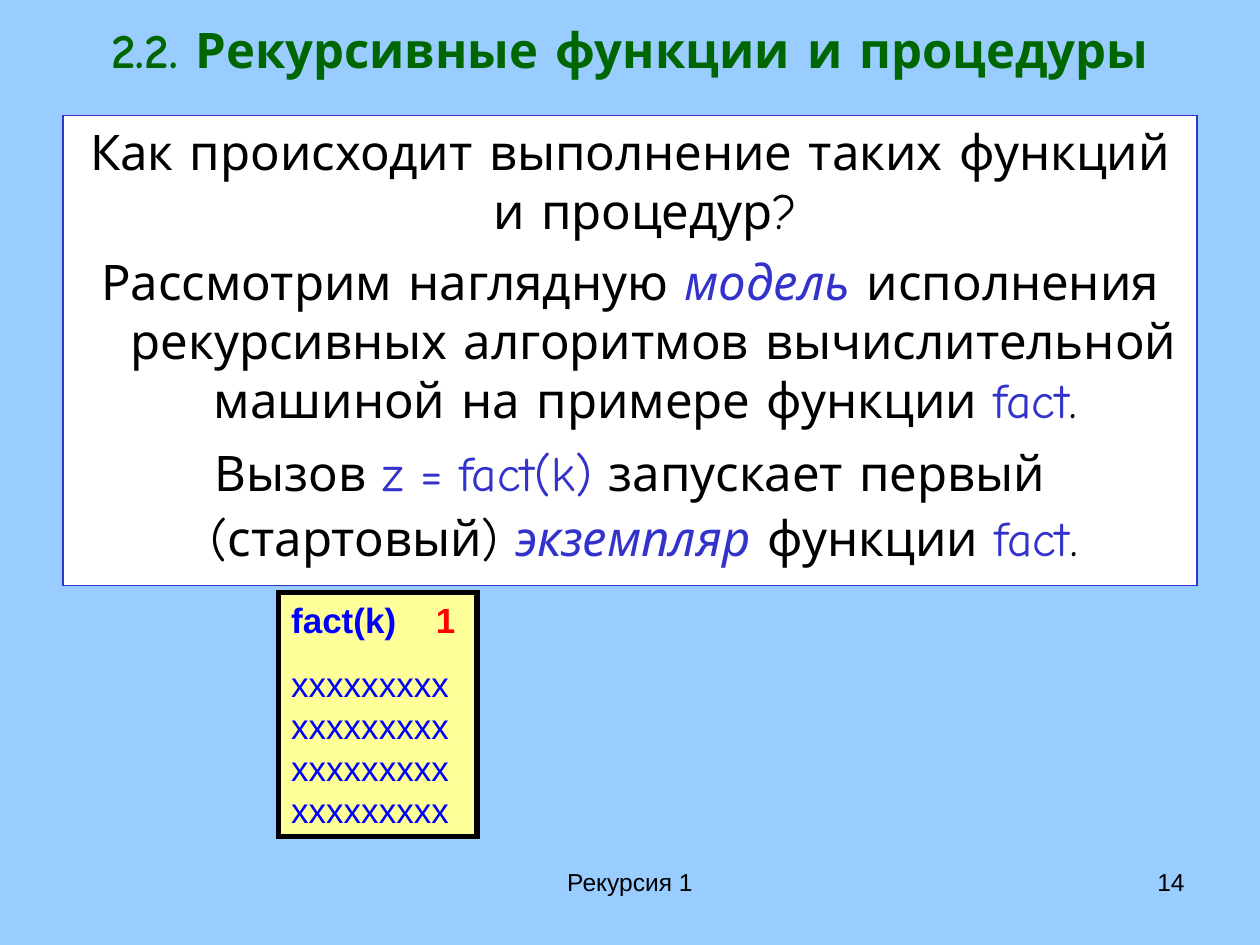
from pptx import Presentation
from pptx.dml.color import RGBColor
from pptx.enum import shapes, text
from pptx.util import Cm, Pt
from lxml import etree
from pptx.oxml import ns

SKY = RGBColor(0x99, 0xCC, 0xFF)
WHITE = RGBColor(0xFF, 0xFF, 0xFF)
BLACK = RGBColor(0, 0, 0)
INDIGO = RGBColor(0x33, 0x33, 0xCC)
GREEN = RGBColor(0, 0x66, 0)
YELLOW = RGBColor(0xFF, 0xFF, 0x99)
BLUE = RGBColor(0, 0, 0xFF)
RED = RGBColor(0xFF, 0, 0)
CENTER, RIGHT, LEFT = text.PP_ALIGN.CENTER, text.PP_ALIGN.RIGHT, text.PP_ALIGN.LEFT

# Content: each span is (text, colour, style) and an optional size of its own;
# style is "", "b" or "i"
TITLE = [("2.2. Рекурсивные функции и процедуры", GREEN, "b")]
FOOTER = [("Рекурсия 1", BLACK, "")]
NUMBER = [("14", BLACK, "")]
# Body paragraphs: space before (pt), spans
BODY = [
    (7, [("Как происходит выполнение таких функций и процедур? ", BLACK, "")]),
    (7, [
        ("Рассмотрим наглядную ", BLACK, ""),
        ("модель", INDIGO, "i"),
        (" исполнения рекурсивных алгоритмов вычислительной машиной на примере функции ",
         BLACK, ""),
        ("fact", INDIGO, ""),
        (". ", BLACK, ""),
    ]),
    (8, [
        ("Вызов ", BLACK, ""),
        ("z = fact(k)", INDIGO, ""),
        (" запускает первый (стартовый) ", BLACK, ""),
        ("экземпляр", INDIGO, "i"),
        (" функции ", BLACK, ""),
        ("fact", INDIGO, ""),
        (".", BLACK, ""),
        (" ", BLACK, "", 32),
    ]),
]
CALL = [("fact(k)\t", BLUE, "b"), ("1", RED, "b")]
CODE = [("x" * 36, BLUE, "")]


def add_box(page, place, fill=None, line=None, width=0):
    """Add a plain text box, or a rectangle when a fill is given."""
    place = [Cm(value) for value in place]
    if fill is None:
        box = page.shapes.add_textbox(*place)
    else:
        box = page.shapes.add_shape(shapes.MSO_SHAPE.RECTANGLE, *place)
        box.shadow.inherit = False
        box.fill.solid()
        box.fill.fore_color.rgb = fill
        box.line.color.rgb = line
        box.line.width = Pt(width)
        # Square corners
        outline = box._element.spPr.find(ns.qn("a:ln"))
        etree.SubElement(outline, ns.qn("a:miter"), lim="800000")
    frame = box.text_frame
    frame.word_wrap = True
    frame.vertical_anchor = text.MSO_ANCHOR.TOP
    return frame


def write(para, spans, size, font, align=LEFT, before=0):
    para.alignment = align
    para.space_before = Pt(before)
    for words, color, style, *own_size in spans:
        span = para.add_run()
        span.text = words
        span.font.name = font
        span.font.size = Pt(own_size[0] if own_size else size)
        span.font.color.rgb = color
        span.font.bold = style == "b"
        span.font.italic = style == "i"


def set_hanging(para, indent):
    props = para._p.get_or_add_pPr()
    props.set("marL", str(Cm(indent)))
    props.set("indent", str(-Cm(indent)))


def set_tab(para, position):
    tabs = etree.SubElement(para._p.get_or_add_pPr(), ns.qn("a:tabLst"))
    etree.SubElement(tabs, ns.qn("a:tab"), pos=str(Cm(position)), algn="l")


def main():
    deck = Presentation()
    deck.slide_width, deck.slide_height = Cm(25.4), Cm(19.05)
    page = deck.slides.add_slide(deck.slide_layouts[6])
    page.background.fill.solid()
    page.background.fill.fore_color.rgb = SKY

    # Footer and page number
    for place, spans, align in [((8.68, 17.35, 8.04, 1.32), FOOTER, CENTER),
                                ((18.2, 17.35, 5.93, 1.32), NUMBER, RIGHT)]:
        write(add_box(page, place).paragraphs[0], spans, 14, "Arial", align)

    # Explanation panel
    frame = add_box(page, (1.27, 2.33, 22.86, 9.48), WHITE, INDIGO, 0.75)
    for index, (before, spans) in enumerate(BODY):
        para = frame.add_paragraph() if index else frame.paragraphs[0]
        write(para, spans, 28, "Comic Neue", CENTER, before)
        set_hanging(para, 0.95)

    # Title
    frame = add_box(page, (1.27, 0.42, 22.86, 1.14))
    frame.vertical_anchor = text.MSO_ANCHOR.MIDDLE
    write(frame.paragraphs[0], TITLE, 28, "Comic Neue", CENTER)

    # First instance of the function
    frame = add_box(page, (5.62, 11.94, 4, 4.93), YELLOW, BLACK, 3)
    write(frame.paragraphs[0], CALL, 20, "Arial", before=12.5)
    set_tab(frame.paragraphs[0], 2.92)
    write(frame.add_paragraph(), CODE, 20, "Arial", before=12.5)

    deck.save("out.pptx")


if __name__ == "__main__":
    main()
